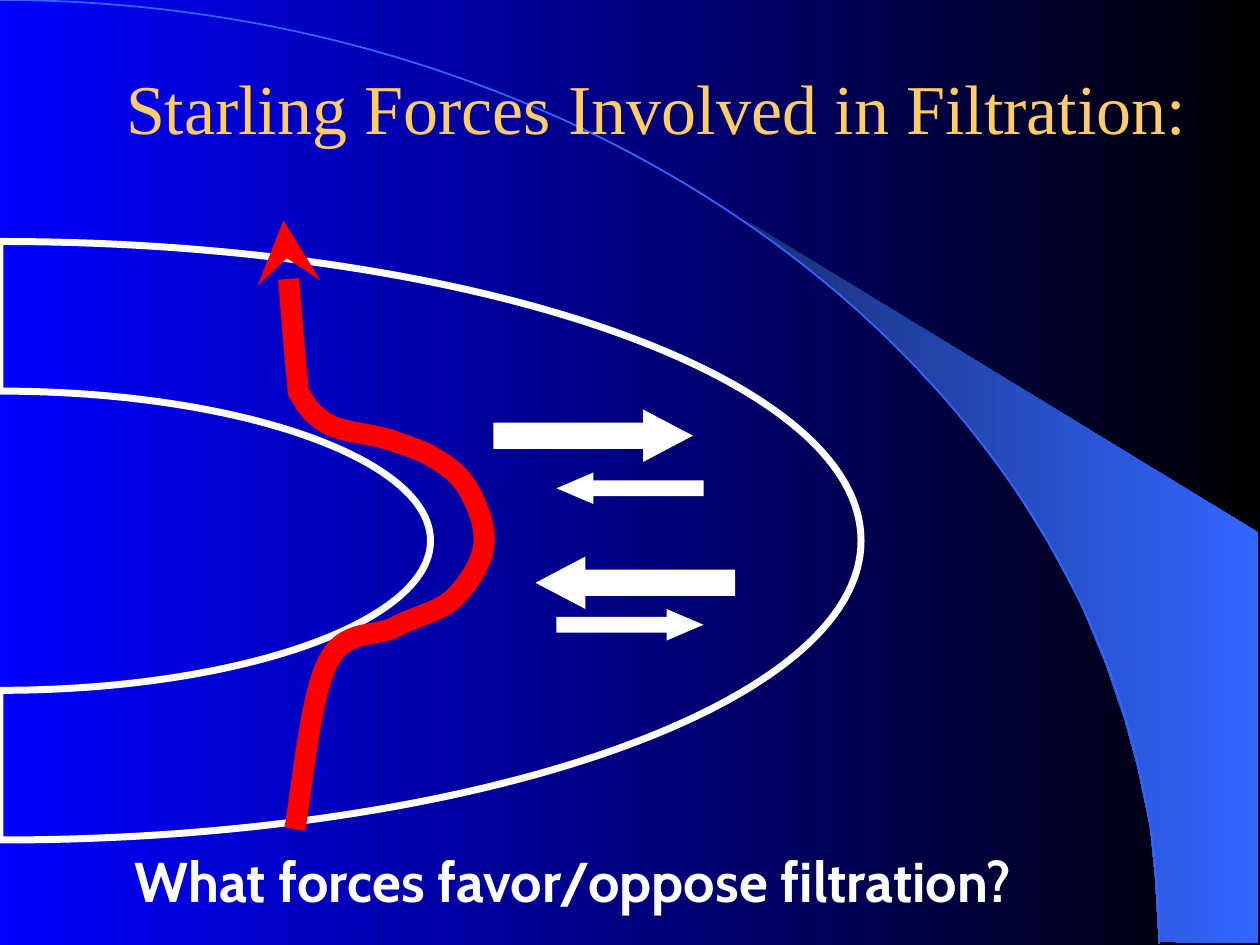
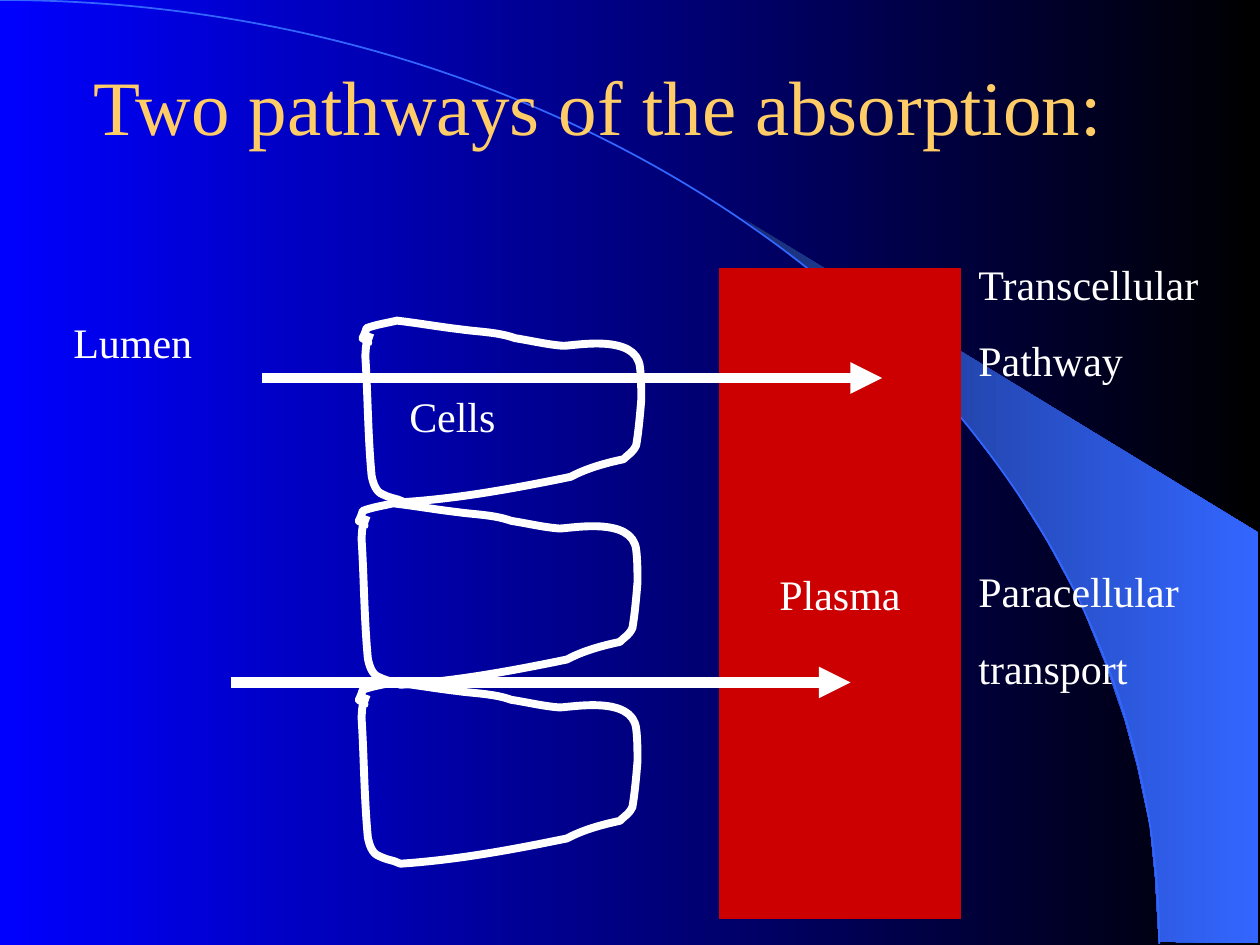
from dataclasses import dataclass

from pptx import Presentation
from pptx.dml.color import RGBColor
from pptx.enum.shapes import MSO_CONNECTOR, MSO_SHAPE
from pptx.enum.text import MSO_ANCHOR, MSO_AUTO_SIZE, PP_ALIGN
from pptx.oxml.ns import qn
from pptx.oxml.xmlchemy import OxmlElement
from pptx.util import Inches, Pt

COLS, ROWS = 120, 90  # slide grid, twelve cells to the inch
CELL = Inches(1) // 12
KAPPA = 0.55  # control length of a quarter ellipse


@dataclass(frozen=True)
class Theme:
    serif: str = "Times New Roman"
    sans: str = "Cabin"
    title: str = "FFCC66"
    text: str = "FFFFFF"
    flow: str = "FF0000"
    plasma: str = "CC0000"
    arc: str = "3366FF"
    backdrop: tuple = ("0000FF", "000000")
    beam: tuple = ("182F76", "3366FF")
    label_size: int = 24
    question_size: int = 32


THEME = Theme()


@dataclass(frozen=True)
class Box:
    """A region measured in cells of the slide grid."""
    col: float
    row: float
    cols: float
    rows: float

    def sub(self, col, row, cols, rows):
        return Box(self.col + col, self.row + row, cols, rows)

    def emu(self):
        return [round(v * CELL) for v in (self.col, self.row, self.cols, self.rows)]

    def place(self, points, grid=(1, 1)):
        """Map points on a grid laid over this box to slide positions."""
        return [((self.col + x * self.cols / grid[0]) * CELL,
                 (self.row + y * self.rows / grid[1]) * CELL) for x, y in points]


SLIDE = Box(0, 0, COLS, ROWS)

# Outlines: a start point, then two control points and an end point per curve
FLOW_GRID = (161, 483)
FLOW = [
    (0, 0), (2, 20), (8, 95), (10, 118), (13, 142), (10, 134), (15, 141),
    (19, 149), (26, 157), (38, 163), (49, 168), (73, 170), (87, 175),
    (101, 180), (112, 183), (122, 190), (132, 196), (141, 203), (147, 214),
    (154, 226), (161, 244), (159, 258), (157, 273), (146, 289), (135, 300),
    (123, 311), (104, 314), (88, 323), (71, 331), (48, 324), (35, 351),
    (21, 378), (14, 456), (9, 483)]
CELL_GRID = (223, 144)
CELL_WALL = [
    (8, 10), (4, 22), (5, 15), (4, 28), (6, 59), (6, 91), (9, 123),
    (10, 128), (12, 136), (18, 138), (22, 140), (26, 141), (30, 142),
    (32, 143), (35, 144), (35, 144), (80, 141), (123, 133), (167, 124),
    (180, 117), (195, 113), (209, 110), (214, 105), (216, 105), (219, 99),
    (221, 87), (222, 75), (223, 63), (223, 55), (223, 45), (222, 37),
    (219, 10), (170, 20), (161, 20), (148, 19), (136, 16), (123, 14),
    (109, 9), (94, 9), (80, 7), (63, 5), (46, 2), (29, 0),
    (21, 2), (13, 3), (5, 6), (1, 19), (0, 11), (6, 17),
    (7, 17), (6, 18), (6, 18)]
# Straight-sided outline
BEAM_GRID = (410, 576)
BEAM = [
    (331, 575), (410, 576), (410, 250), (0, 0), (35, 26), (64, 49), (96, 77),
    (127, 107), (173, 157), (214, 211), (243, 258), (269, 306), (289, 355),
    (304, 399), (314, 436), (324, 483), (328, 523)]


# Drawing helpers
def rgb(value):
    return RGBColor.from_string(value)


def set_gradient(fill, colours):
    fill.gradient()
    fill.gradient_angle = 0
    for stop, colour, position in zip(fill.gradient_stops, colours, (0, 1)):
        stop.color.rgb = rgb(colour)
        stop.position = position


def set_line(s, colour, width):
    s.line.color.rgb = rgb(colour)
    s.line.width = Pt(width)


def add_to_line(s, tag, **attributes):
    child = OxmlElement(f"a:{tag}")
    for name, value in attributes.items():
        child.set(name, value)
    s.element.spPr.find(qn("a:ln")).append(child)


def bend(s, kinds):
    """Turn line steps into curves: C takes three points, L keeps one."""
    steps = iter(list(s.element.iter(qn("a:lnTo"))))
    for kind in kinds:
        step = next(steps)
        if kind == "C":
            curve = OxmlElement("a:cubicBezTo")
            step.addprevious(curve)
            for part in (step, next(steps), next(steps)):
                curve.append(part[0])
                part.getparent().remove(part)


def add_outline(slide, points, kinds="", close=False, line=None):
    builder = slide.shapes.build_freeform(*points[0])
    builder.add_line_segments(points[1:], close=close)
    s = builder.convert_to_shape()
    bend(s, kinds)
    s.shadow.inherit = False
    s.fill.background()
    if line:
        set_line(s, *line)
    else:
        s.line.fill.background()
    return s


def add_curve(slide, points, line):
    return add_outline(slide, points, "C" * (len(points) // 3), line=line)


def add_block(slide, kind, box, colour):
    s = slide.shapes.add_shape(kind, *box.emu())
    s.shadow.inherit = False
    s.fill.solid()
    s.fill.fore_color.rgb = rgb(colour)
    s.line.fill.background()
    return s


def write(tf, lines, frame=None, para=None, gaps=None, colour=THEME.text, **font):
    for name, value in (frame or {}).items():
        setattr(tf, name, value)
    font = {"name": THEME.serif, "size": Pt(THEME.label_size), **font}
    for i, text in enumerate(lines):
        p = tf.paragraphs[0] if i == 0 else tf.add_paragraph()
        r = p.add_run()
        r.text = text
        for name, value in (para or {}).items():
            setattr(p, name, value)
        if gaps and i:
            p.space_before = Pt(gaps[i - 1])
        for name, value in font.items():
            setattr(r.font, name, value)
        r.font.color.rgb = rgb(colour)


def add_label(slide, box, lines, wrap=False, **style):
    tb = slide.shapes.add_textbox(*box.emu())
    frame = {"word_wrap": wrap, "auto_size": MSO_AUTO_SIZE.SHAPE_TO_FIT_TEXT}
    write(tb.text_frame, lines, frame, **style)


def add_titled_slide(prs, title, box, size, anchor):
    slide = prs.slides.add_slide(prs.slide_layouts[5])
    s = slide.shapes.title
    s.left, s.top, s.width, s.height = box.emu()
    frame = {"word_wrap": True, "auto_size": MSO_AUTO_SIZE.NONE, "vertical_anchor": anchor}
    write(s.text_frame, [title], frame, {"alignment": PP_ALIGN.CENTER},
          colour=THEME.title, size=Pt(size))
    return slide


# Shared backdrop, held by the master
def decorate_master(prs, slide, box):
    master = prs.slide_master
    set_gradient(master.background.fill, THEME.backdrop)
    beam_box = box.sub(70.68, 20.76, 49.15, 69.06)
    beam = add_outline(slide, beam_box.place(BEAM, BEAM_GRID), close=True)
    set_gradient(beam.fill, THEME.beam)
    sweep = [(0, 0), (KAPPA, 0), (1, 1 - KAPPA), (1, 1)]
    arc = add_curve(slide, box.sub(0, 0, 110.4, 89.9).place(sweep), (THEME.arc, 1))
    for i, s in enumerate((beam, arc)):
        master.shapes.element.insert(2 + i, s.element)


# Capillary loop with the path of the fluid
def half_ellipse(rx, ry):
    """Two curves from top to bottom, bulging right from the left edge."""
    upper = [(0, -ry), (KAPPA * rx, -ry), (rx, -KAPPA * ry), (rx, 0)]
    lower = [(x, -y) for x, y in reversed(upper[:-1])]
    return [(x, 0.5 + y) for x, y in upper + lower]


def draw_loop(slide, box):
    # Inner wall is half the size of the outer one
    wall = half_ellipse(0.5, 0.25) + half_ellipse(1, 0.5)[::-1]
    add_outline(slide, box.place(wall), "CCLCC", close=True, line=(THEME.text, 4))


def draw_flow(slide, box):
    s = add_curve(slide, box.place(FLOW, FLOW_GRID), (THEME.flow, 12))
    add_to_line(s, "headEnd", type="stealth")


# Opposing forces: each pair has a strong and a weak arrow
def draw_forces(slide, box):
    strong, weak = (19, 5, 0.95), (14, 3, 1.167)
    forces = [(0, 0, strong, 0), (6, 19, weak, 0),
              (4, 14, strong, 180), (6, 6, weak, 180)]
    for col, row, (cols, rows, head), turn in forces:
        s = add_block(slide, MSO_SHAPE.RIGHT_ARROW, box.sub(col, row, cols, rows), THEME.text)
        s.adjustments[1] = head
        s.rotation = turn


# Column of three epithelial cells
def draw_cells(slide, box):
    for col, row in ((0, 17.4), (0.36, 0), (0, 34.44)):
        wall = box.sub(col, row, 26.76, 17.28).place(CELL_WALL, CELL_GRID)
        add_curve(slide, wall, (THEME.text, 4.5))


def draw_plasma(slide, box):
    s = add_block(slide, MSO_SHAPE.RECTANGLE, box, THEME.plasma)
    set_line(s, THEME.plasma, 6)
    add_to_line(s, "miter", lim="800000")
    write(s.text_frame, ["Plasma"],
          {"word_wrap": False, "vertical_anchor": MSO_ANCHOR.MIDDLE},
          {"alignment": PP_ALIGN.CENTER})


def draw_pathway(slide, box):
    x, y, width, _ = box.emu()
    s = slide.shapes.add_connector(MSO_CONNECTOR.STRAIGHT, x, y, x + width, y)
    set_line(s, THEME.text, 6)
    add_to_line(s, "tailEnd", type="triangle")
    s.element.spPr.append(OxmlElement("a:effectLst"))


def build_filtration(prs):
    slide = add_titled_slide(prs, "Starling Forces Involved in Filtration:",
                             SLIDE.sub(7, 1.05, 111, 18.1), 40, MSO_ANCHOR.MIDDLE)
    decorate_master(prs, slide, SLIDE)
    draw_loop(slide, SLIDE.sub(0, 23, 82, 57))
    draw_forces(slide, SLIDE.sub(47, 39, 23, 22))
    draw_flow(slide, SLIDE.sub(27, 21, 19.32, 57.96))
    add_label(slide, SLIDE.sub(11.64, 80, 99.1, 7.7), ["What forces favor/oppose filtration?"],
              name=THEME.sans, size=Pt(THEME.question_size), bold=True)


def build_absorption(prs):
    slide = add_titled_slide(prs, "Two pathways of the absorption:",
                             SLIDE.sub(6, 7, 102, 8), 44, MSO_ANCHOR.BOTTOM)
    draw_cells(slide, SLIDE.sub(33.96, 30.54, 27.12, 51.72))
    add_label(slide, SLIDE.sub(5.8, 29.56, 13.7, 6), ["Lumen"])
    draw_plasma(slide, SLIDE.sub(69, 26, 22, 61))
    draw_pathway(slide, SLIDE.sub(25, 36, 59, 0))
    add_label(slide, SLIDE.sub(37.8, 36.6, 10.6, 6), ["Cells"])
    draw_pathway(slide, SLIDE.sub(22, 65, 59, 0))
    add_label(slide, SLIDE.sub(92, 24, 28, 42.5),
              ["Transcellular", "Pathway", "Paracellular", "transport"],
              wrap=True, gaps=(15, 103, 15))


def main():
    prs = Presentation()
    prs.slide_width, prs.slide_height = COLS * CELL, ROWS * CELL
    build_filtration(prs)
    build_absorption(prs)
    prs.save("out.pptx")


if __name__ == "__main__":
    main()
